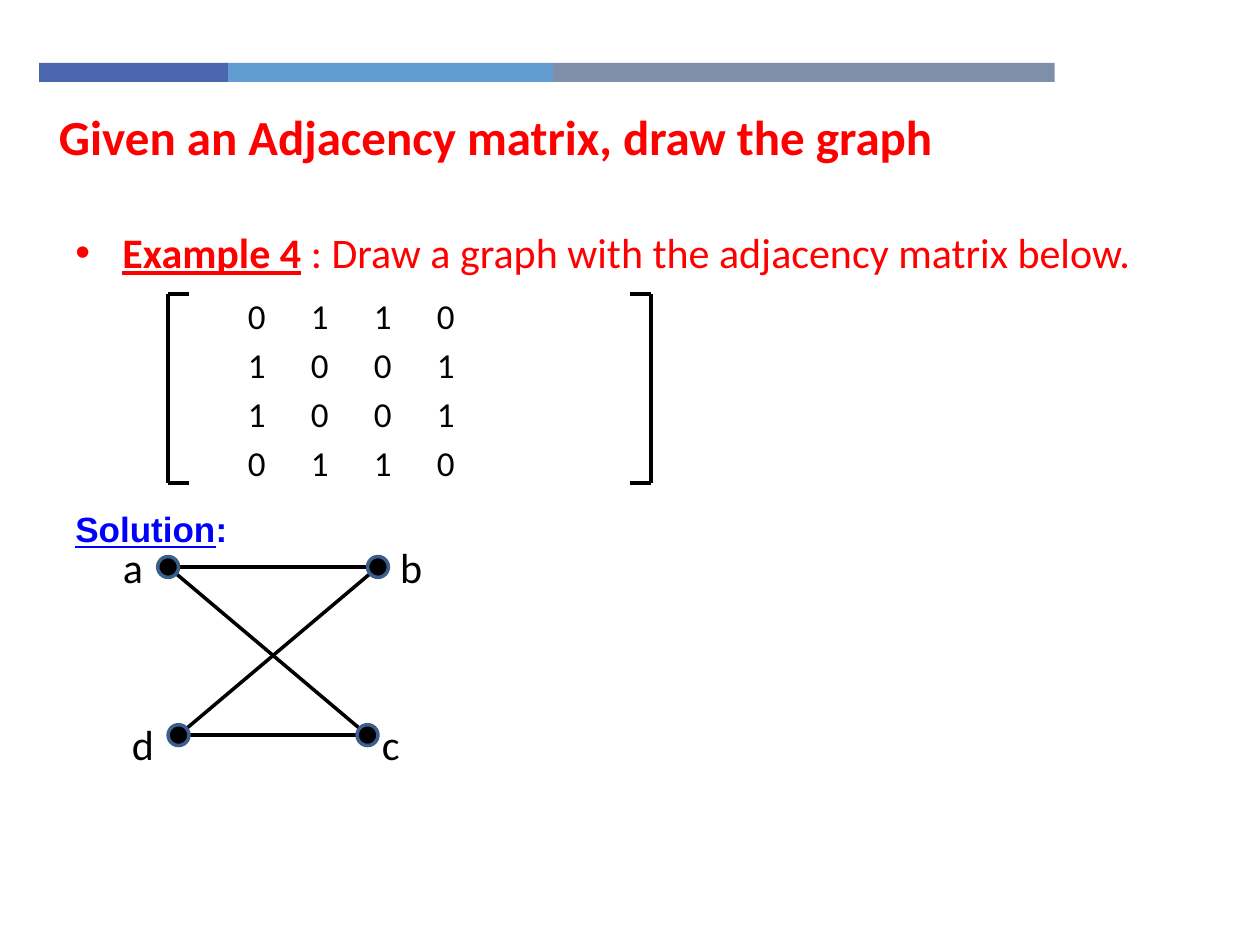
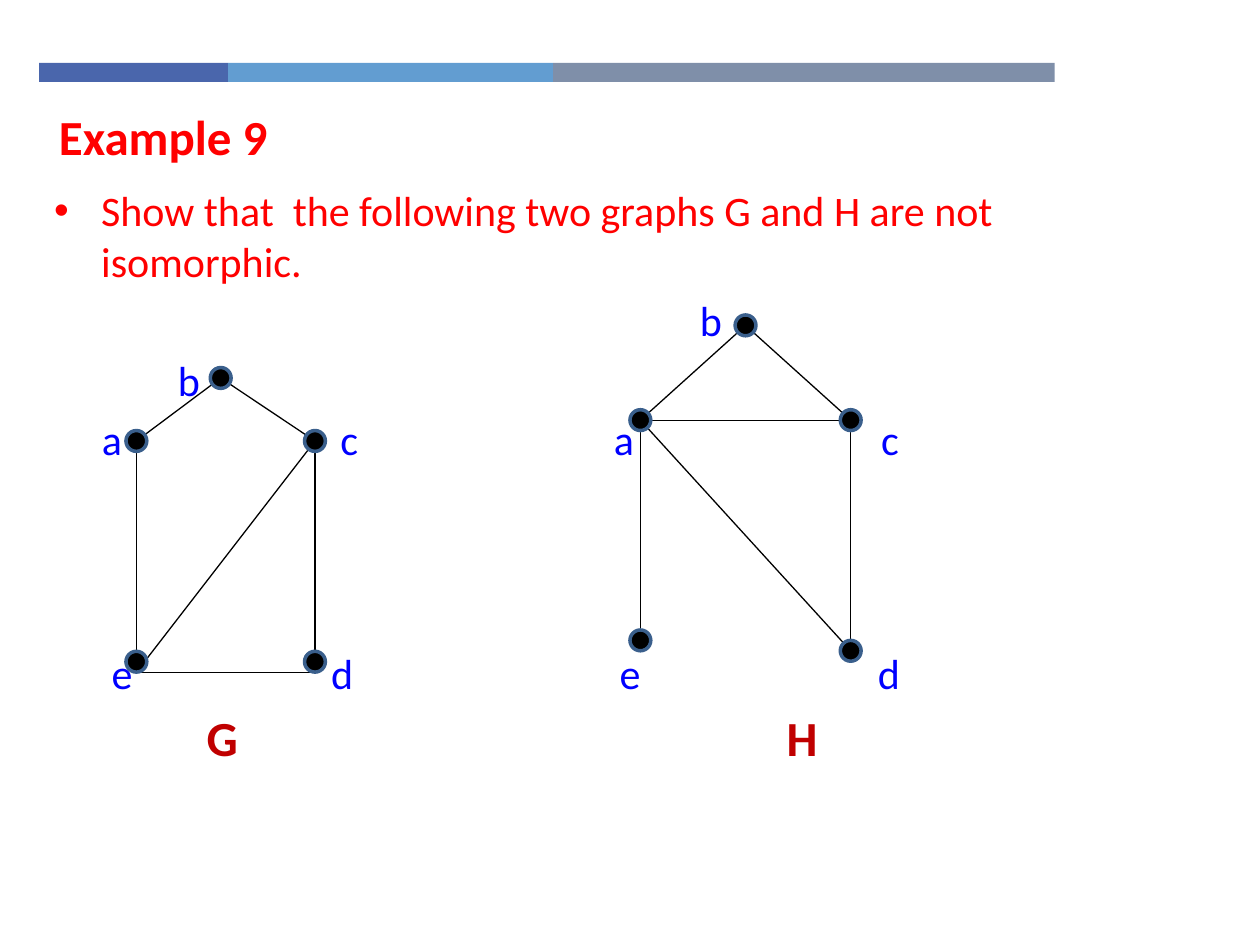
from dataclasses import dataclass
from typing import NamedTuple

import lxml.etree
import pptx
import pptx.dml.color
import pptx.enum.shapes
import pptx.enum.text
import pptx.oxml.ns
import pptx.util

RGBColor = pptx.dml.color.RGBColor
Cm = pptx.util.Cm

RED = RGBColor(0xFF, 0x00, 0x00)
MAROON = RGBColor(0xC0, 0x00, 0x00)
BLUE = RGBColor(0x00, 0x00, 0xFF)
BLACK = RGBColor(0x00, 0x00, 0x00)
RIM = RGBColor(0x3A, 0x5F, 0x8C)
INDIGO = RGBColor(0x4A, 0x66, 0xAC)
SKY = RGBColor(0x62, 0x9D, 0xD1)
SLATE = RGBColor(0x7F, 0x8F, 0xA9)

BAND = [(3.81, INDIGO), (6.55, SKY), (10.11, SLATE)]
BAND_LEFT, BAND_TOP, BAND_HIGH = 0.79, 1.27, 0.38
DOT = 0.42
TAG_WIDE, TAG_HIGH = 1.5, 1.2
HANG = 0.95


class Box(NamedTuple):
    left: float
    top: float
    wide: float
    high: float


class Run(NamedTuple):
    text: str
    bold: bool = False
    under: bool = False


class Style(NamedTuple):
    size: float
    color: RGBColor
    font: str = "Calibri"


class Node(NamedTuple):
    x: float
    y: float
    tag_x: float
    tag_y: float
    dip: float = 0


@dataclass
class Graph:
    nodes: dict[str, Node]
    edges: list[str]
    width: float
    color: RGBColor


TITLE = Style(28, RED)
BODY = Style(24, RED)
CELL = Style(20, BLACK)
ANSWER = Style(20, BLUE, "Arial")
NAME = Style(28, MAROON)

CROSS = Graph(
    {
        "a": Node(3.39, 11.43, 2.68, 11.43),
        "b": Node(7.62, 11.43, 8.29, 11.43),
        "c": Node(7.41, 14.82, 7.88, 14.99),
        "d": Node(3.6, 14.82, 2.88, 14.99),
    },
    ["ab", "dc", "db", "ac"], 2, BLACK,
)
GRAPH_G = Graph(
    {
        "a": Node(2.75, 8.89, 2.26, 8.84),
        "b": Node(4.45, 7.62, 3.81, 7.65),
        "c": Node(6.35, 8.89, 7.04, 8.84),
        "d": Node(6.35, 13.34, 6.9, 13.56, 0.21),
        "e": Node(2.75, 13.34, 2.46, 13.56, 0.21),
    },
    ["ae", "cd", "ba", "bc", "de", "ce"], 0.75, BLUE,
)
GRAPH_H = Graph(
    {
        "a": Node(12.91, 8.47, 12.58, 8.84),
        "b": Node(15.03, 6.56, 14.33, 6.45),
        "c": Node(17.15, 8.47, 17.94, 8.84),
        "d": Node(17.15, 13.12, 17.92, 13.56),
        "e": Node(12.91, 12.91, 12.7, 13.56, 0.21),
    },
    ["cd", "ae", "ad", "ac", "bc", "ba"], 0.75, BLUE,
)
MATRIX = ["0110", "1001", "1001", "0110"]


def add_text(slide, box: Box, lines: list[list[Run]], style: Style, wrap: bool = True):
    shape = slide.shapes.add_textbox(*map(Cm, box))
    frame = shape.text_frame
    frame.word_wrap = wrap
    for spot, line in enumerate(lines):
        para = frame.add_paragraph() if spot else frame.paragraphs[0]
        for part in line:
            run = para.add_run()
            run.text = part.text
            run.font.name = style.font
            run.font.size = pptx.util.Pt(style.size)
            run.font.color.rgb = style.color
            run.font.bold = part.bold
            run.font.underline = part.under
    return frame


def clear_inset(frame) -> None:
    frame.margin_left = frame.margin_right = 0
    frame.margin_top = frame.margin_bottom = 0


def add_tag(slide, x: float, y: float, run: Run, style: Style) -> None:
    box = Box(x - TAG_WIDE / 2, y - TAG_HIGH / 2, TAG_WIDE, TAG_HIGH)
    frame = add_text(slide, box, [[run]], style)
    clear_inset(frame)
    frame.vertical_anchor = pptx.enum.text.MSO_ANCHOR.MIDDLE
    frame.paragraphs[0].alignment = pptx.enum.text.PP_ALIGN.CENTER


def add_bullet(slide, box: Box, runs: list[Run]) -> None:
    frame = add_text(slide, box, [runs], BODY)
    props = frame.paragraphs[0]._p.get_or_add_pPr()
    props.set("marL", str(Cm(HANG)))
    props.set("indent", str(-Cm(HANG)))
    qn = pptx.oxml.ns.qn
    lxml.etree.SubElement(props, qn("a:buFont")).set("typeface", "Arial")
    lxml.etree.SubElement(props, qn("a:buChar")).set("char", "•")


def add_line(slide, x1: float, y1: float, x2: float, y2: float, width: float) -> None:
    kind = pptx.enum.shapes.MSO_CONNECTOR.STRAIGHT
    line = slide.shapes.add_connector(kind, Cm(x1), Cm(y1), Cm(x2), Cm(y2))
    line.line.color.rgb = BLACK
    line.line.width = pptx.util.Pt(width)
    lxml.etree.SubElement(line._element.spPr, pptx.oxml.ns.qn("a:effectLst"))


def add_shape(slide, kind, box: Box, fill: RGBColor):
    shape = slide.shapes.add_shape(kind, *map(Cm, box))
    shape.shadow.inherit = False
    shape.fill.solid()
    shape.fill.fore_color.rgb = fill
    shape.line.fill.background()
    return shape


def add_graph(slide, graph: Graph) -> None:
    for name, node in graph.nodes.items():
        add_tag(slide, node.tag_x, node.tag_y, Run(name), Style(24, graph.color))
    for edge in graph.edges:
        start, end = (graph.nodes[name] for name in edge)
        add_line(slide, start.x, start.y + start.dip, end.x, end.y + end.dip, graph.width)
    kind = pptx.enum.shapes.MSO_SHAPE.FLOWCHART_CONNECTOR
    for node in graph.nodes.values():
        box = Box(node.x - DOT / 2, node.y - DOT / 2, DOT, DOT)
        dot = add_shape(slide, kind, box, BLACK)
        dot.line.color.rgb = RIM
        dot.line.width = pptx.util.Pt(2)


def add_matrix(slide) -> None:
    rows = [[Run("\t".join(row))] for row in MATRIX]
    frame = add_text(slide, Box(5.0, 5.93, 8.5, 3.81), rows, CELL)
    clear_inset(frame)
    for para in frame.paragraphs:
        para.space_after = pptx.util.Pt(4)
    top, bottom = 5.93, 9.74
    for side, lip in ((3.39, 0.42), (13.12, -0.42)):
        add_line(slide, side, top, side, bottom, 2)
        for y in (top, bottom):
            add_line(slide, side, y, side + lip, y, 2)


def add_page(deck, title: str):
    slide = deck.slides.add_slide(deck.slide_layouts[6])
    left = BAND_LEFT
    for wide, color in BAND:
        box = Box(left, BAND_TOP, wide, BAND_HIGH)
        add_shape(slide, pptx.enum.shapes.MSO_SHAPE.RECTANGLE, box, color)
        left += wide
    add_text(slide, Box(0.94, 2.03, 18.19, 1.37), [[Run(title, bold=True)]], TITLE)
    return slide


def main() -> None:
    deck = pptx.Presentation()
    deck.slide_width, deck.slide_height = Cm(25.4), Cm(19.05)

    slide = add_page(deck, "Given an Adjacency matrix, draw the graph")
    add_bullet(slide, Box(1.27, 4.45, 22.86, 1.3), [
        Run("Example 4", bold=True, under=True),
        Run(" : Draw a graph with the adjacency matrix below."),
    ])
    add_matrix(slide)
    add_graph(slide, CROSS)
    answer = [Run("Solution", bold=True, under=True), Run(":", bold=True)]
    add_text(slide, Box(1.27, 10.11, 3.61, 1.12), [answer], ANSWER, wrap=False)

    slide = add_page(deck, "Example 9")
    add_bullet(slide, Box(0.84, 3.6, 23.29, 2.4), [
        Run("Show that  the following two graphs G and H are not isomorphic."),
    ])
    for graph, name, x in ((GRAPH_G, "G", 4.48), (GRAPH_H, "H", 16.17)):
        add_graph(slide, graph)
        add_tag(slide, x, 14.86, Run(name, bold=True), NAME)

    deck.save("out.pptx")


if __name__ == "__main__":
    main()
